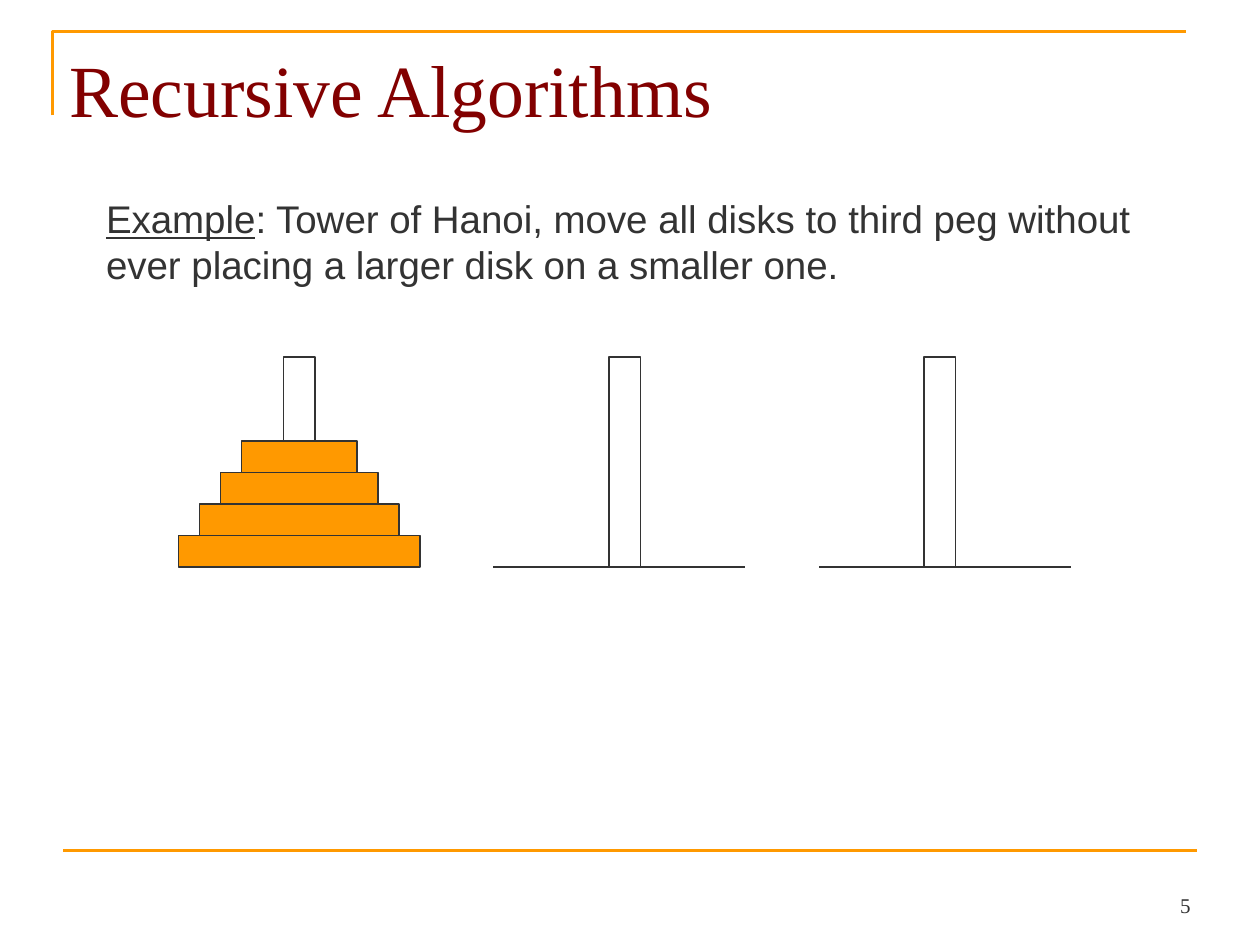
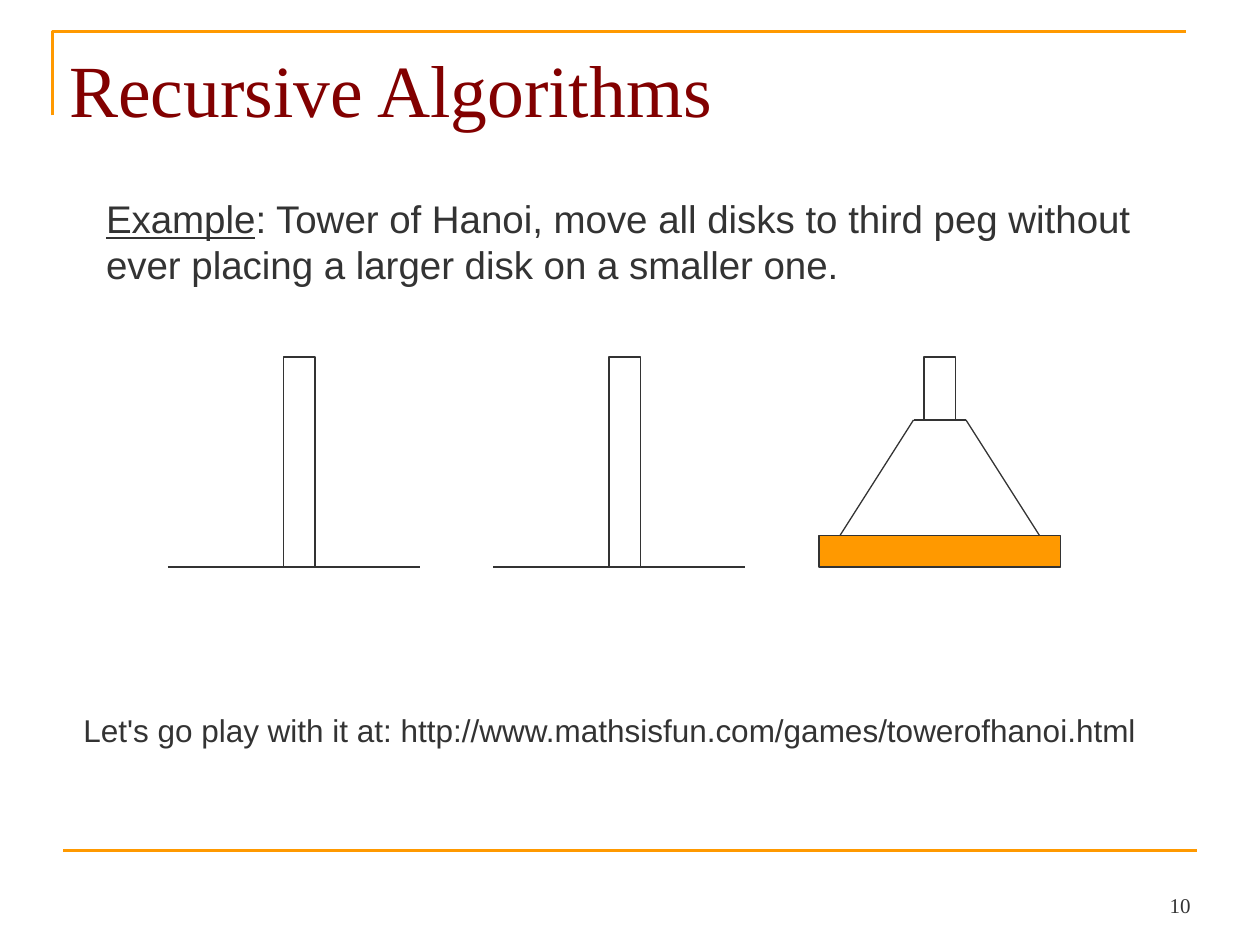
from dataclasses import dataclass
from itertools import pairwise

from lxml import etree
from pptx import Presentation
from pptx.dml.color import RGBColor
from pptx.enum.shapes import MSO_CONNECTOR, MSO_SHAPE
from pptx.enum.text import MSO_ANCHOR, PP_ALIGN
from pptx.oxml.ns import qn
from pptx.slide import Slide
from pptx.text.text import _Paragraph
from pptx.util import Pt

STRAIGHT = MSO_CONNECTOR.STRAIGHT
RECTANGLE = MSO_SHAPE.RECTANGLE
TOP, BOTTOM = MSO_ANCHOR.TOP, MSO_ANCHOR.BOTTOM
LEFT, RIGHT = PP_ALIGN.LEFT, PP_ALIGN.RIGHT

ORANGE, MAROON, INK, WHITE = "FF9900", "820000", "333333", "FFFFFF"
SERIF, SANS = "Times New Roman", "Arial"
INSET = 3.6
PEG_TOP, GROUND, PEG_WIDTH = 204, 324, 18
BASE_LEFT, BASE_STEP, BASE_WIDTH = 96, 186, 144
PEG_LEFTS = (162, 348, 528)
DISK_HEIGHT, DISK_WIDTH, DISK_STEP = 18, 138, 24
STACK_OUTLINE = ((480, 306), (522, 240), (552, 240), (594, 306))
TASK = ": Tower of Hanoi, move all disks to third peg without ever placing a larger disk on a smaller one."
INVITATION = "Let's go play with it at: http://www.mathsisfun.com/games/towerofhanoi.html"


@dataclass(frozen=True)
class Frame:
    """Position and size in points."""
    left: float
    top: float
    width: float
    height: float


@dataclass(frozen=True)
class TextStyle:
    """Font, size, colour and alignment of a paragraph."""
    font: str
    size: float
    color: str
    align: PP_ALIGN = LEFT


@dataclass(frozen=True)
class Peg:
    """A peg, the disks on it and the lowest visible point of its pole."""
    disks: int = 0
    pole_bottom: float = GROUND


@dataclass(frozen=True)
class HanoiPage:
    """What differs between the two pages."""
    number: int
    pegs: tuple[Peg, ...]
    outline: tuple[tuple[float, float], ...] = ()
    invitation: str = ""


TITLE = TextStyle(SERIF, 42, MAROON)
BODY = TextStyle(SANS, 22, INK)
NOTE = TextStyle(SANS, 18, INK)
NUMBER = TextStyle(SERIF, 12, INK, RIGHT)
PAGES = (
    HanoiPage(5, (Peg(4, GROUND - 4 * DISK_HEIGHT), Peg(), Peg())),
    HanoiPage(10, (Peg(), Peg(), Peg(1, 240)), STACK_OUTLINE, INVITATION),
)


def rgb(color: str) -> RGBColor:
    """Turn a hex string into a colour."""
    return RGBColor.from_string(color)


def add_line(page: Slide, start: tuple[float, float], end: tuple[float, float],
             color: str = INK, weight: float = 0.75) -> None:
    """Draw a straight line without a shadow."""
    line = page.shapes.add_connector(STRAIGHT, *(Pt(value) for value in (*start, *end)))
    line.line.color.rgb = rgb(color)
    line.line.width = Pt(weight)
    etree.SubElement(line._element.spPr, qn("a:effectLst"))


def add_block(page: Slide, frame: Frame, color: str) -> None:
    """Draw a filled rectangle with a thin outline."""
    block = page.shapes.add_shape(RECTANGLE, Pt(frame.left), Pt(frame.top),
                                  Pt(frame.width), Pt(frame.height))
    block.shadow.inherit = False
    block.fill.solid()
    block.fill.fore_color.rgb = rgb(color)
    block.line.color.rgb = rgb(INK)
    block.line.width = Pt(0.75)


def add_text(page: Slide, frame: Frame, text: str, style: TextStyle, wrap: bool = True,
             anchor: MSO_ANCHOR = TOP, inset_left: float = INSET) -> _Paragraph:
    """Add a one-paragraph text box and return its paragraph."""
    box = page.shapes.add_textbox(Pt(frame.left), Pt(frame.top), Pt(frame.width), Pt(frame.height))
    body = box.text_frame
    body.word_wrap = wrap
    body.vertical_anchor = anchor
    body.margin_left = Pt(inset_left)
    body.margin_top = body.margin_right = body.margin_bottom = Pt(INSET)
    para = body.paragraphs[0]
    para.alignment = style.align
    para.font.name = style.font
    para.font.size = Pt(style.size)
    para.font.color.rgb = rgb(style.color)
    para.add_run().text = text
    return para


def add_furniture(page: Slide, number: int) -> None:
    """Draw the corner rule, bottom rule, page number and title."""
    builder = page.shapes.build_freeform(Pt(30), Pt(66))
    builder.add_line_segments([(Pt(30), Pt(18)), (Pt(678), Pt(18))], close=False)
    corner = builder.convert_to_shape()
    corner.shadow.inherit = False
    corner.fill.background()
    corner.line.color.rgb = rgb(ORANGE)
    corner.line.width = Pt(1.5)
    add_line(page, (36, 486), (684, 486), ORANGE, 1.5)
    label = str(number)
    width = 7.6 + 6 * len(label)
    add_text(page, Frame(684 - width, 507.6, width, 20.4), label, NUMBER, False, BOTTOM)
    add_text(page, Frame(36, 21.6, 648, 74.4), "Recursive Algorithms", TITLE)


def add_peg(page: Slide, index: int, peg: Peg) -> None:
    """Draw a pole with its disks, or with a ground line when it is empty."""
    pole_left = PEG_LEFTS[index]
    center = pole_left + PEG_WIDTH / 2
    for level in range(peg.disks):
        width = DISK_WIDTH - level * DISK_STEP
        top = GROUND - (level + 1) * DISK_HEIGHT
        add_block(page, Frame(center - width / 2, top, width, DISK_HEIGHT), ORANGE)
    add_block(page, Frame(pole_left, PEG_TOP, PEG_WIDTH, peg.pole_bottom - PEG_TOP), WHITE)
    if not peg.disks:
        base_left = BASE_LEFT + index * BASE_STEP
        add_line(page, (base_left, GROUND), (base_left + BASE_WIDTH, GROUND))


def add_page(deck: Presentation, content: HanoiPage) -> None:
    """Build one Tower of Hanoi page."""
    page = deck.slides.add_slide(deck.slide_layouts[6])
    add_furniture(page, content.number)
    para = add_text(page, Frame(30, 108, 654, 356.4), "Example", BODY, inset_left=30.6)
    para.runs[0].font.underline = True
    para.add_run().text = TASK
    for index, peg in enumerate(content.pegs):
        add_peg(page, index, peg)
    for start, end in pairwise(content.outline):
        add_line(page, start, end)
    if content.invitation:
        add_text(page, Frame(44, 402.5, 625, 27.4), content.invitation, NOTE)


def main() -> None:
    """Build and save the deck."""
    deck = Presentation()
    deck.slide_width, deck.slide_height = Pt(720), Pt(540)
    for content in PAGES:
        add_page(deck, content)
    deck.save("out.pptx")


if __name__ == "__main__":
    main()
